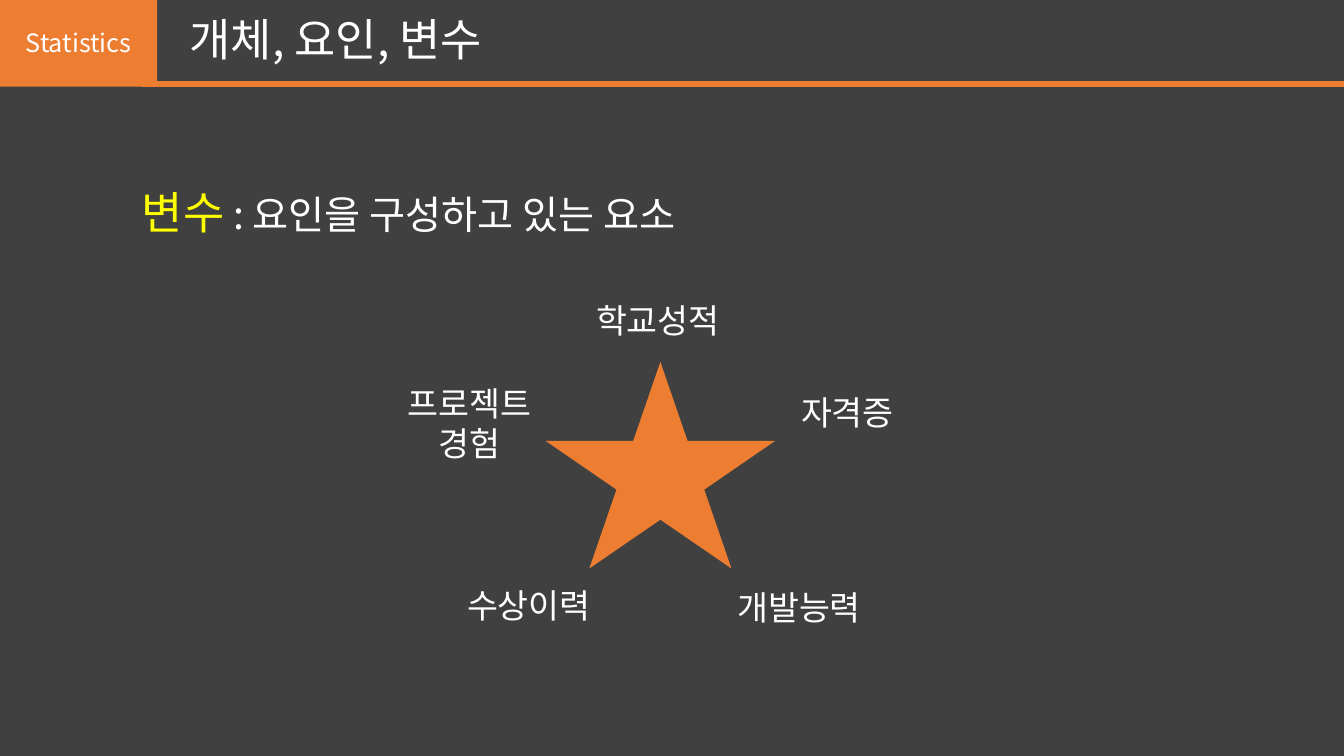
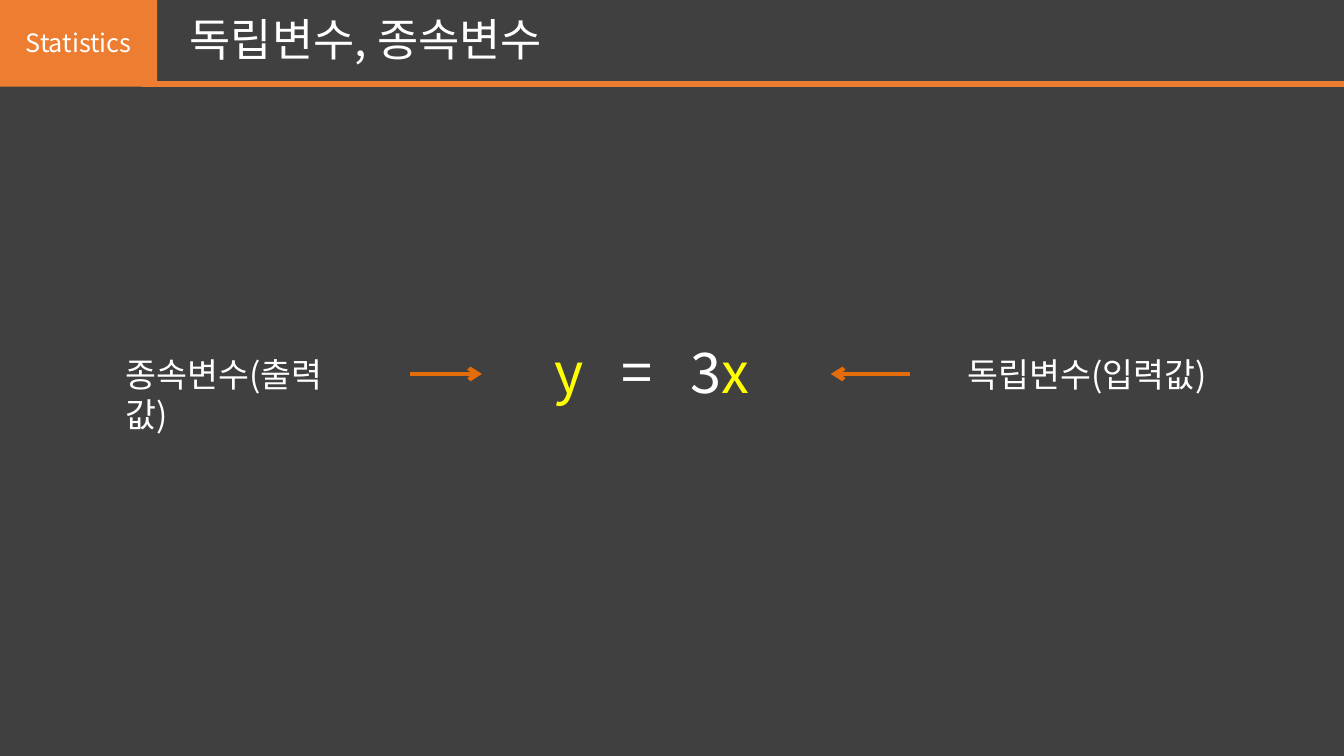
"""Build two statistics slides about factors and variables."""
from lxml.etree import SubElement
from pptx import Presentation
from pptx.dml.color import RGBColor
from pptx.enum.shapes import MSO_CONNECTOR, MSO_SHAPE
from pptx.enum.text import MSO_ANCHOR, MSO_AUTO_SIZE, PP_ALIGN
from pptx.oxml.ns import qn
from pptx.util import Inches, Pt

FONT = "Noto Sans CJK KR"
GREY = RGBColor(0x40, 0x40, 0x40)
ORANGE = RGBColor(0xED, 0x7D, 0x31)
ARROW = RGBColor(0xE4, 0x6C, 0x0A)
YELLOW = RGBColor(0xFF, 0xFF, 0x00)
WHITE = RGBColor(0xFF, 0xFF, 0xFF)


def write(sp, text, size=24, color=WHITE, align=PP_ALIGN.CENTER,
          anchor=MSO_ANCHOR.TOP, fit=MSO_AUTO_SIZE.SHAPE_TO_FIT_TEXT):
    tf = sp.text_frame
    tf.word_wrap = True
    tf.auto_size = fit
    tf.vertical_anchor = anchor
    for i, line in enumerate(text.split("\n")):
        p = tf.add_paragraph() if i else tf.paragraphs[-1]
        p.alignment = align
        r = p.add_run()
        r.text = line
        r.font.size = Pt(size)
        r.font.color.rgb = color
        r.font.name = FONT
        SubElement(r.font._element, qn("a:ea"), typeface=FONT)


def add_line(s, x1, x2, y, color, width, arrow=False):
    line = s.shapes.add_connector(
        MSO_CONNECTOR.STRAIGHT, Inches(x1), Inches(y), Inches(x2), Inches(y))
    line.line.color.rgb = color
    line.line.width = Pt(width)
    if arrow:
        SubElement(line.line._get_or_add_ln(), qn("a:tailEnd"), type="arrow")
    SubElement(line._element.spPr, qn("a:effectLst"))


prs = Presentation()
prs.slide_width = Inches(13.33)
prs.slide_height = Inches(7.5)
fill = prs.slide_master.background.fill
fill.solid()
fill.fore_color.rgb = GREY

for title in ("개체, 요인, 변수", "독립변수, 종속변수"):
    s = prs.slides.add_slide(prs.slide_layouts[5])
    tab = s.shapes.add_shape(
        MSO_SHAPE.RECTANGLE, 0, Inches(-0.01), Inches(1.56), Inches(0.87))
    tab.shadow.inherit = False
    tab.fill.solid()
    tab.fill.fore_color.rgb = ORANGE
    tab.line.fill.background()
    write(tab, "Statistics", size=18, anchor=MSO_ANCHOR.MIDDLE, fit=MSO_AUTO_SIZE.NONE)
    add_line(s, 1.41, 13.33, 0.83, ORANGE, 4.5)
    sp = s.shapes.title
    sp.left, sp.top = Inches(1.78), Inches(0.07)
    sp.width, sp.height = Inches(8.58), Inches(0.64)
    write(sp, title, size=32, align=PP_ALIGN.LEFT, fit=MSO_AUTO_SIZE.NONE)

factors, equation = prs.slides

sp = factors.shapes.add_textbox(Inches(1.31), Inches(1.78), Inches(10.97), Inches(0.64))
write(sp, "변수", size=32, color=YELLOW, align=PP_ALIGN.LEFT)
write(sp, " : 요인을 구성하고 있는 요소", size=28, align=PP_ALIGN.LEFT)

star = factors.shapes.add_shape(
    MSO_SHAPE.STAR_5_POINT, Inches(5.41), Inches(3.59), Inches(2.28), Inches(2.05))
star.shadow.inherit = False
star.fill.solid()
star.fill.fore_color.rgb = ORANGE
star.line.fill.background()

for text, x, y, w, h in (
    ("학교성적", 5.58, 2.93, 1.89, 0.5),
    ("자격증", 7.46, 3.84, 1.89, 0.5),
    ("프로젝트\n경험", 3.59, 3.75, 2.13, 0.91),
    ("수상이력", 4.3, 5.75, 1.89, 0.5),
    ("개발능력", 6.98, 5.77, 1.89, 0.5),
):
    sp = factors.shapes.add_textbox(Inches(x), Inches(y), Inches(w), Inches(h))
    write(sp, text)

sp = equation.shapes.add_textbox(Inches(4.85), Inches(3.3), Inches(3.23), Inches(0.77))
for text, color in (("y", YELLOW), ("   =   3", WHITE), ("x", YELLOW)):
    write(sp, text, size=40, color=color)

for text, x, w, start, end in (
    ("종속변수(출력값)", 1.15, 2.52, 4.07, 4.78),
    ("독립변수(입력값)", 9.5, 2.6, 9.03, 8.24),
):
    sp = equation.shapes.add_textbox(Inches(x), Inches(3.46), Inches(w), Inches(0.5))
    write(sp, text, align=PP_ALIGN.LEFT)
    add_line(equation, start, end, 3.71, ARROW, 3, arrow=True)

prs.save("out.pptx")
